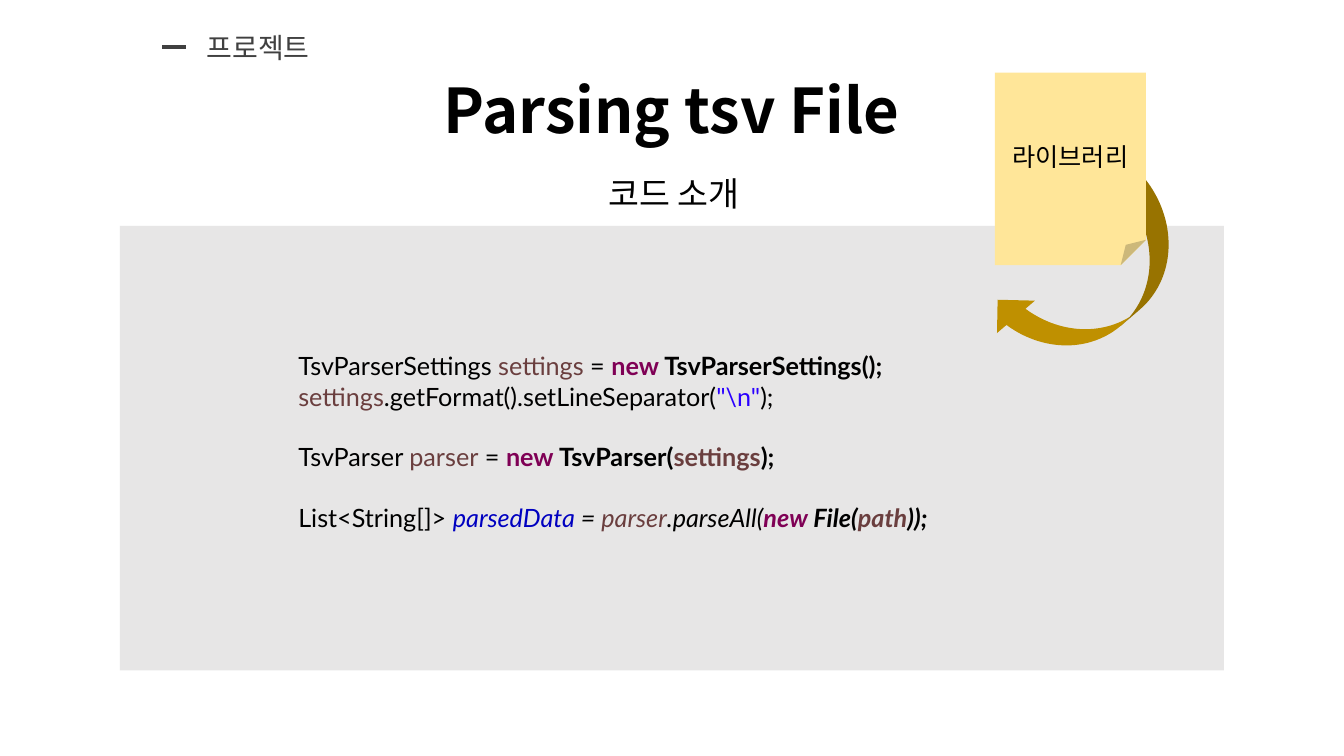
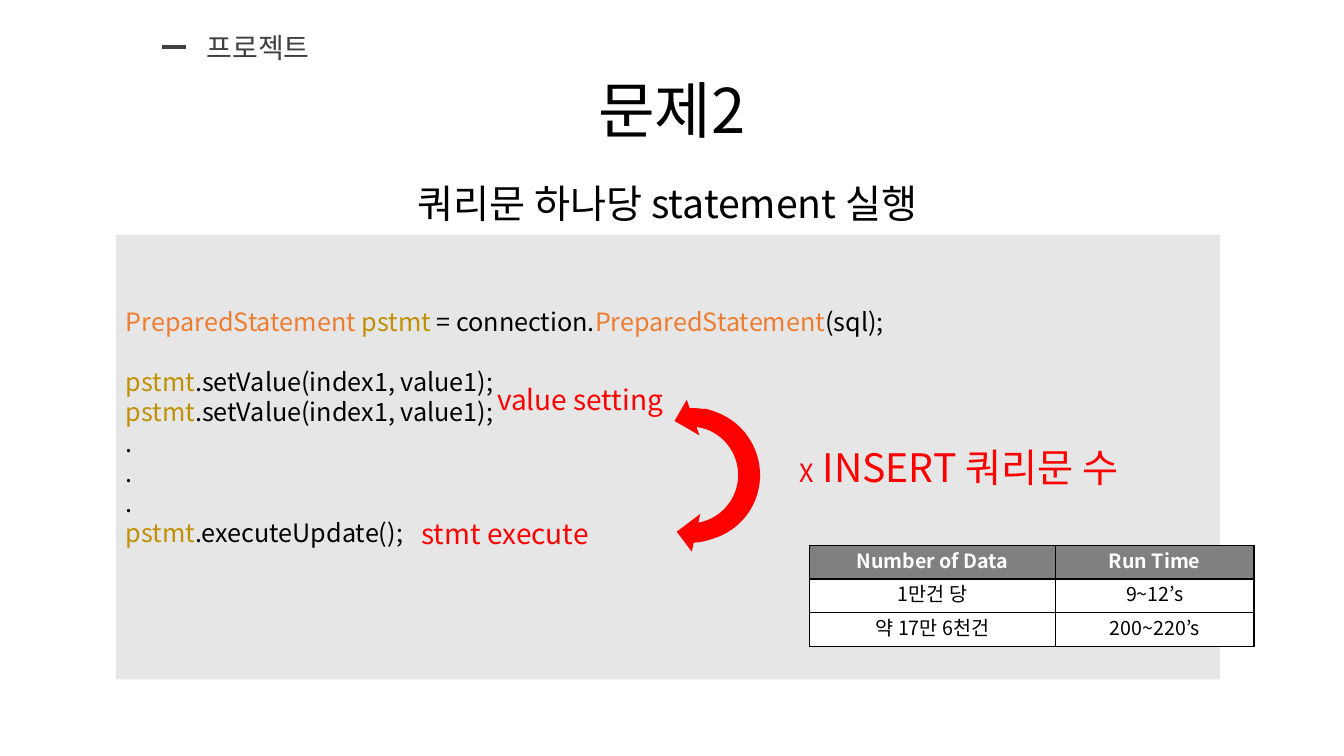
from lxml import etree
from pptx import Presentation
from pptx.dml.color import RGBColor
from pptx.enum import shapes, text
from pptx.oxml import ns
from pptx.util import Pt

COLORS = {
    "black": "000000", "white": "FFFFFF", "panel": "E7E6E6", "label": "404040",
    "variable": "6A3E3E", "keyword": "7F0055", "string": "2A00FF", "field": "0000C0",
    "type": "ED7D31", "gold": "BF9000", "note": "FFE699", "red": "FF0000", "header": "808080",
}
SANS = "Noto Sans CJK KR"
CODE = "Lato"
LEFT, CENTER = text.PP_ALIGN.LEFT, text.PP_ALIGN.CENTER
MIDDLE = text.MSO_ANCHOR.MIDDLE
LEADING = 1.2

PARSER_CODE = [
    (0, [("TsvParserSettings ", "black", ""), ("settings", "variable", ""), (" = ", "black", ""),
         ("new", "keyword", "b"), (" TsvParserSettings();", "black", "b")]),
    (0, [("settings", "variable", ""), (".getFormat().setLineSeparator(", "black", ""),
         ('"\\n"', "string", ""), (");", "black", "")]),
    (1, [("TsvParser ", "black", ""), ("parser", "variable", ""), (" = ", "black", ""),
         ("new", "keyword", "b"), (" TsvParser(", "black", "b"), ("settings", "variable", "b"),
         (");", "black", "b")]),
    (1, [("List<String[]> ", "black", ""), ("parsedData ", "field", "i"), ("= ", "black", "i"),
         ("parser", "variable", "i"), (".parseAll(", "black", "i"), ("new", "keyword", "bi"),
         (" File(", "black", "bi"), ("path", "variable", "bi"), ("));", "black", "bi")]),
]
SET_VALUE = [("pstmt", "gold", ""), (".setValue(index1, value1);", "black", "")]
DOT = [(".", "black", "")]
STATEMENT_CODE = [
    (0, [("PreparedStatement ", "type", ""), ("pstmt", "gold", ""), (" = connection.", "black", ""),
         ("PreparedStatement", "type", ""), ("(sql);", "black", "")]),
    (1, SET_VALUE), (0, SET_VALUE), (0, DOT), (0, DOT), (0, DOT),
    (0, [("pstmt", "gold", ""), (".executeUpdate();", "black", "")]),
]
RUN_TIMES = [("Number of Data", "Run Time"), ("1만건 당", "9~12’s"), ("약 17만 6천건", "200~220’s")]


def rgb(name):
    """Return the named colour."""
    return RGBColor.from_string(COLORS[name])


def format_run(run, size, color="black", style="", font=SANS):
    """Set the font of one run for Latin and Korean text."""
    run.font.name = font
    run.font.size = Pt(size)
    run.font.bold = "b" in style
    run.font.italic = "i" in style
    run.font.color.rgb = rgb(color)
    properties = run._r.get_or_add_rPr()
    etree.SubElement(properties, ns.qn("a:ea")).set("typeface", SANS)


def format_paragraph(paragraph, size, align=LEFT, before=0, indent=0):
    """Set fixed leading, alignment, gap above and indent without a bullet."""
    paragraph.alignment = align
    paragraph.line_spacing = Pt(round(size * LEADING, 1))
    paragraph.space_before = Pt(before)
    properties = paragraph._p.get_or_add_pPr()
    properties.set("marL", str(Pt(indent)))
    properties.set("indent", "0")
    if properties.find(ns.qn("a:buNone")) is None:
        etree.SubElement(properties, ns.qn("a:buNone"))


def write_text(frame, words, size, color="black", style="", align=LEFT):
    """Write one paragraph in one format."""
    frame.text = words
    frame.word_wrap = True
    paragraph = frame.paragraphs[0]
    format_paragraph(paragraph, size, align)
    for run in paragraph.runs:
        format_run(run, size, color, style)


def write_code(frame, lines, font, size=18):
    """Write coloured code lines, each with its number of skipped lines above."""
    frame.word_wrap = True
    for index, (skipped, tokens) in enumerate(lines):
        paragraph = frame.add_paragraph() if index else frame.paragraphs[0]
        format_paragraph(paragraph, size, before=skipped * size * LEADING)
        for words, color, style in tokens:
            run = paragraph.add_run()
            run.text = words
            format_run(run, size, color, style, font)


def place(shape, box):
    """Move a placeholder to a box."""
    shape.left, shape.top, shape.width, shape.height = map(Pt, box)


def add_text_box(slide, box, words, size, color="black", align=LEFT):
    """Add a text box with one paragraph."""
    shape = slide.shapes.add_textbox(*map(Pt, box))
    write_text(shape.text_frame, words, size, color, align=align)


def add_filled_shape(parent, kind, box, color, rotation=0):
    """Add a preset shape with a flat fill and no outline."""
    shape = parent.shapes.add_shape(kind, *map(Pt, box))
    shape.shadow.inherit = False
    shape.fill.solid()
    shape.fill.fore_color.rgb = rgb(color)
    shape.line.fill.background()
    shape.rotation = rotation
    return shape


def add_section_label(slide, left, top):
    """Add the dash and the section name."""
    middle = top + 15.8
    dash = slide.shapes.add_connector(
        shapes.MSO_CONNECTOR.STRAIGHT, Pt(left), Pt(middle), Pt(left + 17), Pt(middle))
    dash.line.color.rgb = rgb("label")
    dash.line.width = Pt(3)
    etree.SubElement(dash._element.spPr, ns.qn("a:effectLst"))
    add_text_box(slide, (left + 24.5, top, 96.5, 32), "프로젝트", 20, "label")


def add_base_slide(presentation, layout, title, style=""):
    """Add a slide with its title and section label."""
    slide = presentation.slides.add_slide(presentation.slide_layouts[layout])
    heading = slide.shapes.title
    place(heading, (66, 29, 828, 104))
    heading.text_frame.auto_size = text.MSO_AUTO_SIZE.NONE
    heading.text_frame.vertical_anchor = MIDDLE
    write_text(heading.text_frame, title, 44, style=style, align=CENTER)
    heading.text_frame.paragraphs[0].line_spacing = 0.9
    add_section_label(slide, 116, 18)
    return slide


def add_panel(slide, left, top):
    """Add the grey code panel."""
    return add_filled_shape(
        slide, shapes.MSO_SHAPE.RECTANGLE, (left, top, 788.5, 317.5), "panel")


def add_library_note(slide, left, top):
    """Add the folded note and the arrow that leads from it to the code."""
    add_filled_shape(slide, shapes.MSO_SHAPE.CURVED_LEFT_ARROW,
                     (left + 34.5, top + 74, 71.3, 154), "gold", 49.5)
    note = add_filled_shape(
        slide, shapes.MSO_SHAPE.FOLDED_CORNER, (left, top, 108, 137.5), "note")
    note.text_frame.vertical_anchor = MIDDLE
    write_text(note.text_frame, "라이브러리", 18, align=CENTER)


def add_loop_notes(slide, left, top):
    """Add the red notes on the repeated steps."""
    frame = slide.shapes.add_textbox(Pt(left), Pt(top), Pt(546), Pt(132)).text_frame
    frame.word_wrap = True
    notes = [("value setting", 20, 0, 71), ("X INSERT 쿼리문 수", 28, 19, 287),
             ("stmt execute", 20, 19, 17)]
    for index, (words, size, before, indent) in enumerate(notes):
        paragraph = frame.add_paragraph() if index else frame.paragraphs[0]
        first, rest = (words[:1], words[1:]) if size == 28 else ("", words)
        for part, part_size in ((first, 18), (rest, size)):
            if part:
                run = paragraph.add_run()
                run.text = part
                format_run(run, part_size, "red")
        format_paragraph(paragraph, size, before=before, indent=indent)


def add_loop_arrow(slide, left, top):
    """Add the double-headed arc as two opposite circular arrows."""
    group = slide.shapes.add_group_shape()
    kind = shapes.MSO_SHAPE.CIRCULAR_ARROW
    add_filled_shape(group, kind, (left, top, 111, 111), "red", 102.7)
    upward = add_filled_shape(group, kind, (left + 4.3, top + 1.4, 108.7, 108), "red", 70.2)
    upward._element.spPr.xfrm.set("flipH", "1")


def add_cell_borders(cell):
    """Draw a thin black line on every side of a cell."""
    properties = cell._tc.get_or_add_tcPr()
    for index, side in enumerate(("lnL", "lnR", "lnT", "lnB")):
        line = etree.Element(ns.qn("a:" + side), w=str(Pt(1)))
        fill = etree.SubElement(line, ns.qn("a:solidFill"))
        etree.SubElement(fill, ns.qn("a:srgbClr")).set("val", COLORS["black"])
        properties.insert(index, line)


def add_run_time_table(slide, left, top):
    """Add the table of run times."""
    widths = (175.7, 141.8)
    row_height = 24
    table = slide.shapes.add_table(
        len(RUN_TIMES), len(widths), Pt(left), Pt(top),
        Pt(sum(widths)), Pt(row_height * len(RUN_TIMES))).table
    table.horz_banding = False
    for column, width in zip(table.columns, widths):
        column.width = Pt(width)
    for row_index, values in enumerate(RUN_TIMES):
        table.rows[row_index].height = Pt(row_height)
        fill, color, style = ("white", "black", "") if row_index else ("header", "white", "b")
        for column_index, value in enumerate(values):
            cell = table.cell(row_index, column_index)
            cell.fill.solid()
            cell.fill.fore_color.rgb = rgb(fill)
            write_text(cell.text_frame, value, 14, color, style, CENTER)
            add_cell_borders(cell)


def build_parsing_slide(presentation):
    """Build the slide on the parser code."""
    slide = add_base_slide(presentation, 5, "Parsing tsv File", "b")
    add_panel(slide, 85.7, 161.3)
    add_text_box(slide, (77, 120, 809, 36), "코드 소개", 24, align=CENTER)
    code = slide.shapes.add_textbox(Pt(206), Pt(247), Pt(625), Pt(138))
    write_code(code.text_frame, PARSER_CODE, CODE)
    add_library_note(slide, 710.6, 51.8)


def build_problem_slide(presentation):
    """Build the slide on one statement per query."""
    slide = add_base_slide(presentation, 1, "문제2")
    panel = add_panel(slide, 82.8, 167.8)
    panel.text_frame.vertical_anchor = MIDDLE
    panel.text_frame.margin_bottom = Pt(46.8)
    write_code(panel.text_frame, STATEMENT_CODE, SANS)
    subtitle = slide.placeholders[1]
    place(subtitle, (66, 124.6, 828, 57.6))
    subtitle.text_frame.auto_size = text.MSO_AUTO_SIZE.NONE
    write_text(subtitle.text_frame, "쿼리문 하나당 statement 실행 ", 28, align=CENTER)
    add_loop_notes(slide, 277, 270)
    add_loop_arrow(slide, 437, 283.7)
    add_run_time_table(slide, 578.2, 389.5)


def main():
    """Build and save the presentation."""
    presentation = Presentation()
    presentation.slide_width, presentation.slide_height = Pt(960), Pt(540)
    build_parsing_slide(presentation)
    build_problem_slide(presentation)
    presentation.save("out.pptx")


main()
